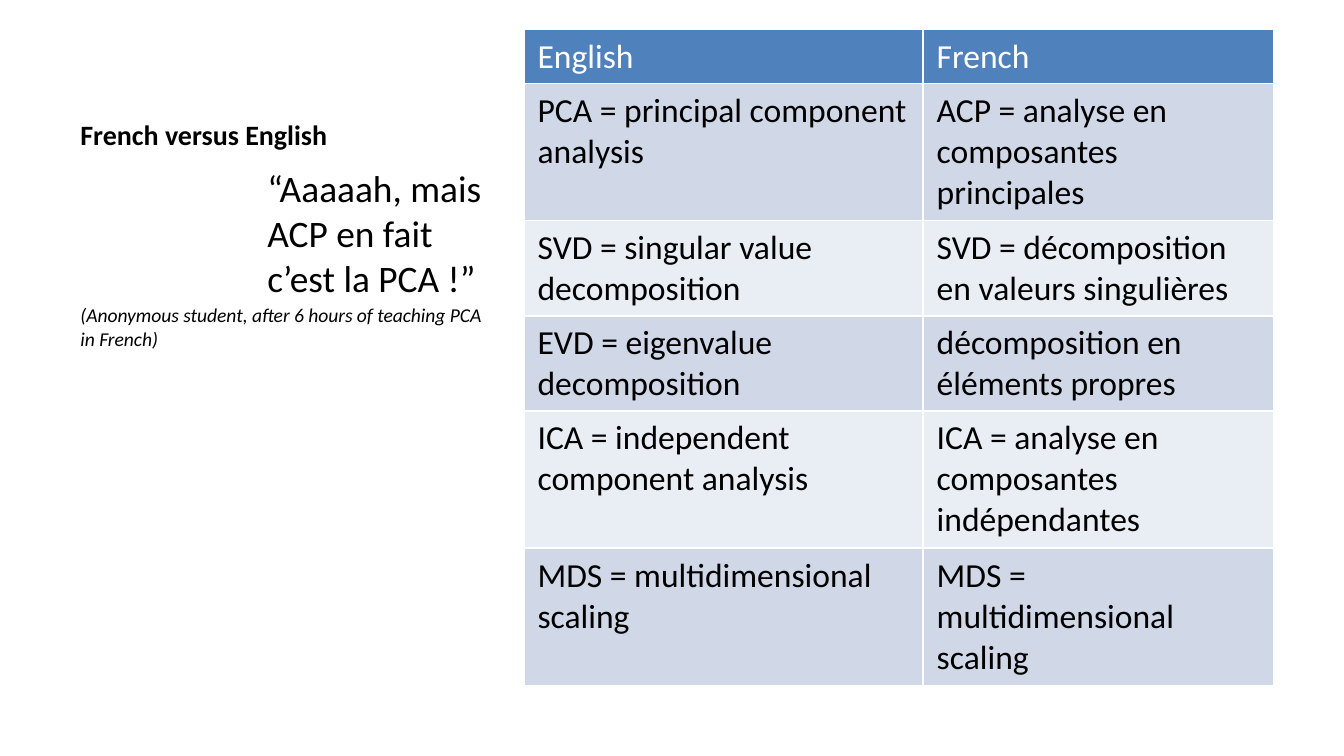
from dataclasses import dataclass

from lxml.etree import SubElement
from pptx import Presentation
from pptx.dml.color import RGBColor
from pptx.enum.text import MSO_ANCHOR
from pptx.oxml.ns import qn
from pptx.util import Inches, Pt


@dataclass(frozen=True)
class Theme:
    font: str = "Calibri"
    ink: str = "000000"
    white: str = "FFFFFF"
    header: str = "4F81BD"
    bands: tuple = ("D0D8E8", "E9EDF4")
    title_size: float = 15
    quote_size: float = 20
    source_size: float = 10.5
    table_size: float = 18
    border: float = 1


THEME = Theme()
TERMS = [
    ("English", "French"),
    ("PCA = principal component analysis", "ACP = analyse en composantes principales"),
    ("SVD = singular value decomposition", "SVD = décomposition en valeurs singulières"),
    ("EVD = eigenvalue decomposition", "décomposition en éléments propres"),
    ("ICA = independent component analysis", "ICA = analyse en composantes indépendantes"),
    ("MDS = multidimensional scaling", "MDS = multidimensional scaling"),
]
COLUMN_WIDTHS = (2.97, 2.61)
ROW_HEIGHTS = (0.4, 1.02, 0.71, 0.71, 1.02, 1.02)


def style_paragraph(para, size, color=THEME.ink, bold=False, italic=False):
    for span in para.runs:
        span.font.name = THEME.font
        span.font.size = Pt(size)
        span.font.bold = bold
        span.font.italic = italic
        span.font.color.rgb = RGBColor.from_string(color)


def add_text_box(page, top, height, anchor):
    box = page.shapes.add_textbox(Inches(0.5), Inches(top), Inches(3.29), Inches(height))
    box.text_frame.word_wrap = True
    box.text_frame.vertical_anchor = anchor
    return box.text_frame


def add_title(page):
    frame = add_text_box(page, 0.22, 0.95, MSO_ANCHOR.BOTTOM)
    frame.text = "French versus English"
    style_paragraph(frame.paragraphs[0], THEME.title_size, bold=True)


def add_quote(page):
    frame = add_text_box(page, 1.18, 3.85, MSO_ANCHOR.TOP)
    frame.text = "“Aaaaah, mais ACP en fait c’est la PCA !”"
    quote = frame.paragraphs[0]
    quote._p.get_or_add_pPr().set("marL", str(Inches(1.39)))
    style_paragraph(quote, THEME.quote_size)
    source = frame.add_paragraph()
    source.text = "(Anonymous student, after 6 hours of teaching PCA in French)"
    source.space_before = Pt(2)
    style_paragraph(source, THEME.source_size, italic=True)


def set_borders(cell):
    properties = cell._tc.get_or_add_tcPr()
    for position, side in enumerate(("lnL", "lnR", "lnT", "lnB")):
        line = SubElement(properties, qn(f"a:{side}"), w=str(Pt(THEME.border)))
        fill = SubElement(line, qn("a:solidFill"))
        SubElement(fill, qn("a:srgbClr"), val=THEME.white)
        properties.insert(position, line)


def fill_cell(cell, text, color, fill):
    cell.text = text
    cell.fill.solid()
    cell.fill.fore_color.rgb = RGBColor.from_string(fill)
    set_borders(cell)
    style_paragraph(cell.text_frame.paragraphs[0], THEME.table_size, color)


def add_terms_table(page):
    frame = page.shapes.add_table(
        len(TERMS), len(COLUMN_WIDTHS), Inches(3.9), Inches(0.22),
        Inches(sum(COLUMN_WIDTHS)), Inches(sum(ROW_HEIGHTS)),
    )
    table = frame.table
    for column, width in zip(table.columns, COLUMN_WIDTHS):
        column.width = Inches(width)
    for index, (row, height, terms) in enumerate(zip(table.rows, ROW_HEIGHTS, TERMS)):
        row.height = Inches(height)
        is_header = index == 0
        color = THEME.white if is_header else THEME.ink
        fill = THEME.header if is_header else THEME.bands[(index - 1) % 2]
        for cell, text in zip(row.cells, terms):
            fill_cell(cell, text, color, fill)


def main():
    deck = Presentation()
    deck.slide_width = Inches(10)
    deck.slide_height = Inches(10) * 9 // 16
    page = deck.slides.add_slide(deck.slide_layouts[6])
    add_title(page)
    add_quote(page)
    add_terms_table(page)
    deck.save("out.pptx")


if __name__ == "__main__":
    main()
